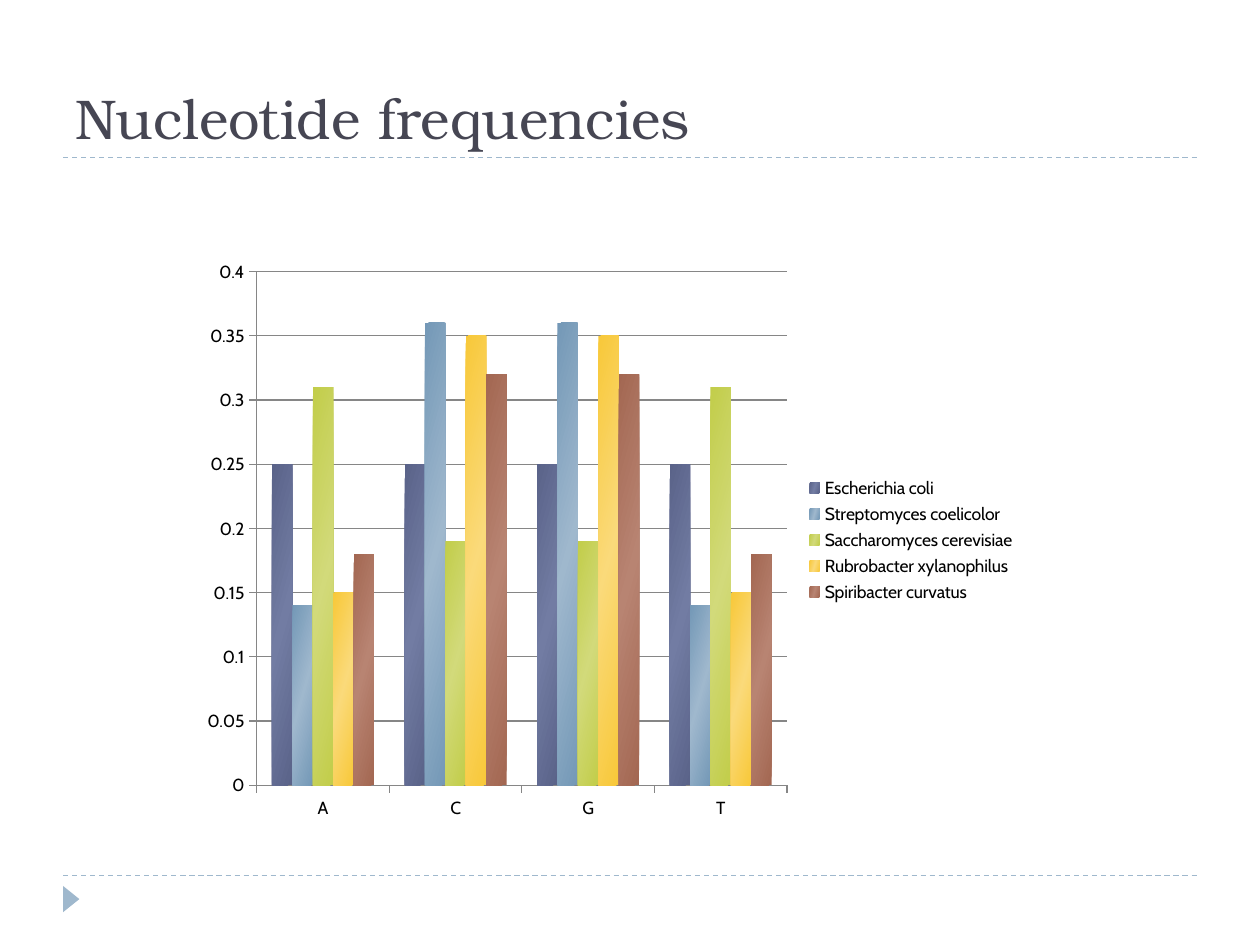
from dataclasses import dataclass

from lxml import etree
from pptx import Presentation
from pptx.chart.data import CategoryChartData
from pptx.dml.color import RGBColor
from pptx.enum.chart import XL_CHART_TYPE as ChartType
from pptx.enum.chart import XL_LEGEND_POSITION as LegendPosition
from pptx.enum.chart import XL_TICK_MARK as TickMark
from pptx.enum.dml import MSO_LINE_DASH_STYLE as Dash
from pptx.enum.shapes import MSO_CONNECTOR as Connector
from pptx.enum.shapes import MSO_SHAPE as Shape
from pptx.enum.text import MSO_ANCHOR as Anchor
from pptx.oxml import parse_xml
from pptx.oxml.ns import qn
from pptx.util import Cm, Pt


@dataclass(frozen=True)
class Theme:
    title_font: str = "TeX Gyre Bonum"
    body_font: str = "Cabin"
    title_size: float = 32
    chart_size: float = 10
    title: str = "464653"
    accent: str = "9FB8CD"
    chart_text: str = "000000"
    axis: str = "868686"


@dataclass(frozen=True)
class Organism:
    name: str
    frequencies: tuple[float, ...]
    color: str


THEME = Theme()
NUCLEOTIDES = ("A", "C", "G", "T")
ORGANISMS = (
    Organism("Escherichia coli", (0.25, 0.25, 0.25, 0.25), "727CA3"),
    Organism("Streptomyces coelicolor", (0.14, 0.36, 0.36, 0.14), "9FB8CD"),
    Organism("Saccharomyces cerevisiae", (0.31, 0.19, 0.19, 0.31), "D2DA7A"),
    Organism("Rubrobacter xylanophilus", (0.15, 0.35, 0.35, 0.15), "FADA7A"),
    Organism("Spiribacter curvatus", (0.18, 0.32, 0.32, 0.18), "B88472"),
)


def rgb(color: str) -> RGBColor:
    return RGBColor.from_string(color)


def add_rule(page, top: float) -> None:
    """Dashed line across the page at the given height in cm."""
    rule = page.shapes.add_connector(
        Connector.STRAIGHT, Cm(1.27), Cm(top), Cm(24.13), Cm(top))
    rule.line.color.rgb = rgb(THEME.accent)
    rule.line.width = Pt(0.75)
    rule.line.dash_style = Dash.DASH
    etree.SubElement(rule._element.spPr, qn("a:effectLst"))


def add_marker(page) -> None:
    marker = page.shapes.add_shape(
        Shape.ISOSCELES_TRIANGLE, Cm(1.17), Cm(17.96), Cm(0.53), Cm(0.33))
    marker.rotation = 90
    marker.shadow.inherit = False
    marker.fill.solid()
    marker.fill.fore_color.rgb = rgb(THEME.accent)
    marker.line.fill.background()


def add_title(page, text: str) -> None:
    box = page.shapes.add_textbox(Cm(1.27), Cm(0.43), Cm(22.86), Cm(2.74))
    frame = box.text_frame
    frame.word_wrap = True
    frame.vertical_anchor = Anchor.BOTTOM
    para = frame.paragraphs[0]
    para.text = text
    para.font.name = THEME.title_font
    para.font.size = Pt(THEME.title_size)
    para.font.color.rgb = rgb(THEME.title)


def shade_bars(series, color: str) -> None:
    """Slanted gradient that is darker at both edges."""
    dark = f'<a:srgbClr val="{color}"><a:lumMod val="82000"/></a:srgbClr>'
    series.format.fill.solid()
    properties = series.format.fill._xPr
    properties.replace(properties.find(qn("a:solidFill")), parse_xml(
        '<a:gradFill xmlns:a="http://schemas.openxmlformats.org/drawingml/2006/main">'
        f'<a:gsLst><a:gs pos="0">{dark}</a:gs>'
        f'<a:gs pos="50000"><a:srgbClr val="{color}"/></a:gs>'
        f'<a:gs pos="100000">{dark}</a:gs></a:gsLst>'
        '<a:lin ang="950000" scaled="1"/></a:gradFill>'))


def add_frequency_chart(page) -> None:
    data = CategoryChartData()
    data.categories = NUCLEOTIDES
    for organism in ORGANISMS:
        data.add_series(organism.name, organism.frequencies)
    chart = page.shapes.add_chart(
        ChartType.COLUMN_CLUSTERED,
        Cm(3.84), Cm(5.03), Cm(16.89), Cm(11.71), data).chart
    chart.has_title = False
    chart.font.name = THEME.body_font
    chart.font.size = Pt(THEME.chart_size)
    chart.font.color.rgb = rgb(THEME.chart_text)

    # Bars
    plot = chart.plots[0]
    plot.vary_by_categories = False
    plot.gap_width = 150
    plot.overlap = 0
    for series, organism in zip(plot.series, ORGANISMS):
        shade_bars(series, organism.color)

    # Axes and grid
    values = chart.value_axis
    values.minimum_scale, values.maximum_scale = 0, 0.4
    values.major_unit = 0.05
    values.has_major_gridlines = True
    for axis in (values, chart.category_axis):
        axis.major_tick_mark = TickMark.OUTSIDE
        axis.format.line.color.rgb = rgb(THEME.axis)
    values.major_gridlines.format.line.color.rgb = rgb(THEME.axis)

    # Legend
    chart.has_legend = True
    chart.legend.position = LegendPosition.RIGHT
    chart.legend.include_in_layout = False


def main() -> None:
    deck = Presentation()
    deck.slide_width, deck.slide_height = Cm(25.4), Cm(19.05)
    page = deck.slides.add_slide(deck.slide_layouts[6])

    # Page frame
    for top in (17.65, 3.17):
        add_rule(page, top)
    add_marker(page)

    # Content
    add_title(page, "Nucleotide frequencies")
    add_frequency_chart(page)
    deck.save("out.pptx")


if __name__ == "__main__":
    main()
